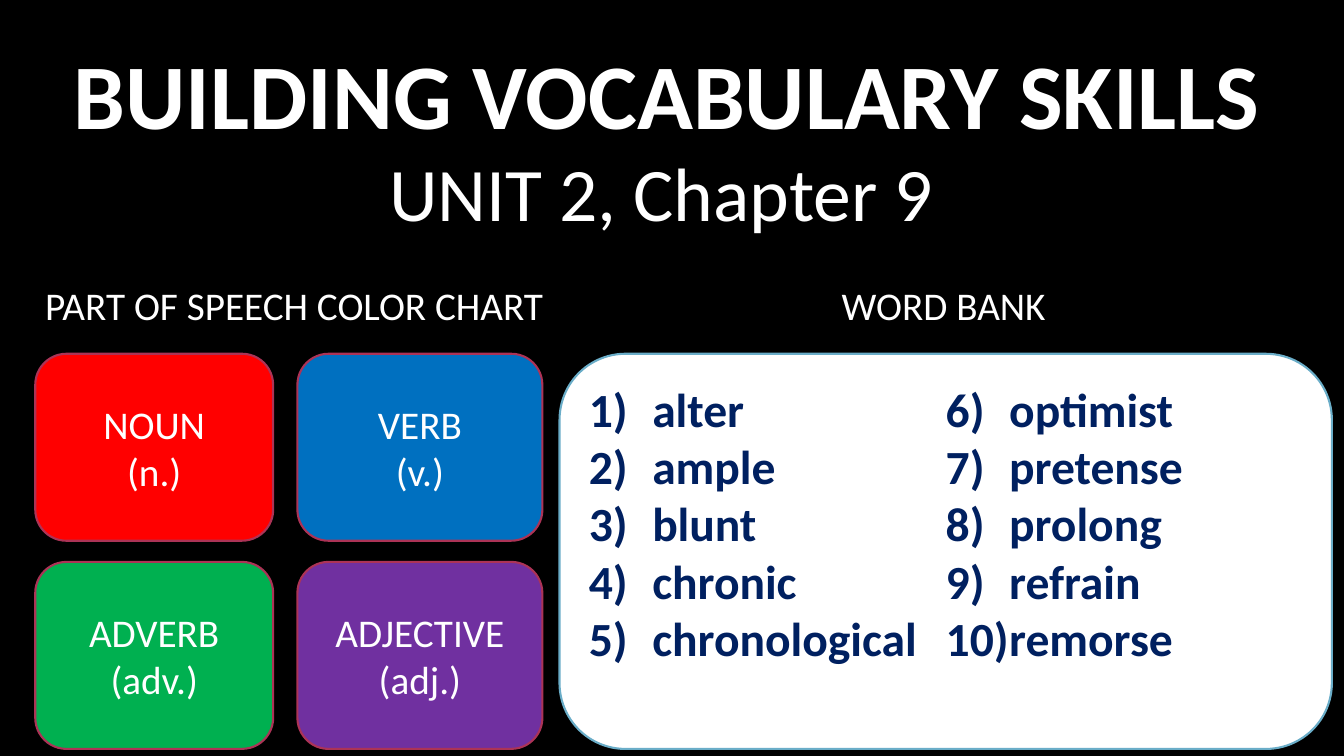
from pptx import Presentation
from pptx.dml.color import RGBColor
from pptx.enum.shapes import MSO_SHAPE
from pptx.enum.text import MSO_ANCHOR, PP_ALIGN
from pptx.util import Inches, Pt
from lxml import etree
from pptx.oxml.ns import qn

ROUNDED = MSO_SHAPE.ROUNDED_RECTANGLE
TOP, MIDDLE = MSO_ANCHOR.TOP, MSO_ANCHOR.MIDDLE
LEFT, CENTER = PP_ALIGN.LEFT, PP_ALIGN.CENTER

BLACK = RGBColor(0x00, 0x00, 0x00)
WHITE = RGBColor(0xFF, 0xFF, 0xFF)
RED = RGBColor(0xFF, 0x00, 0x00)
BLUE = RGBColor(0x00, 0x70, 0xC0)
GREEN = RGBColor(0x00, 0xB0, 0x50)
PURPLE = RGBColor(0x70, 0x30, 0xA0)
NAVY = RGBColor(0x00, 0x20, 0x60)
CARD_EDGE = RGBColor(0xAC, 0x33, 0x56)
BANK_EDGE = RGBColor(0x6A, 0xAD, 0xC8)

FONT = "Calibri"
PARTS_OF_SPEECH = [
    [("NOUN", "(n.)", RED), ("VERB", "(v.)", BLUE)],
    [("ADVERB", "(adv.)", GREEN), ("ADJECTIVE", "(adj.)", PURPLE)],
]
WORDS = ["alter", "ample", "blunt", "chronic", "chronological",
         "optimist", "pretense", "prolong", "refrain", "remorse"]


def write_lines(frame, lines, size, color=WHITE, bold=False, align=CENTER,
                numbered=False):
    for index, line in enumerate(lines):
        paragraph = frame.paragraphs[0] if index == 0 else frame.add_paragraph()
        paragraph.alignment = align
        if numbered:
            number_paragraph(paragraph)
        run = paragraph.add_run()
        run.text = line
        run.font.name = FONT
        run.font.size = Pt(size)
        run.font.bold = bold
        run.font.color.rgb = color


def number_paragraph(paragraph):
    properties = paragraph._p.get_or_add_pPr()
    indent = Inches(0.63)
    properties.set("marL", str(indent))
    properties.set("indent", str(-indent))
    font = etree.SubElement(properties, qn("a:buFont"))
    font.set("typeface", "+mj-lt")
    numbering = etree.SubElement(properties, qn("a:buAutoNum"))
    numbering.set("type", "arabicParenR")


def add_heading(slide, left, top, width, height, text, size, bold=False):
    frame = slide.shapes.add_textbox(
        Inches(left), Inches(top), Inches(width), Inches(height)).text_frame
    frame.word_wrap = True
    frame.vertical_anchor = MIDDLE
    frame.margin_top, frame.margin_bottom = Inches(0.08), 0
    write_lines(frame, [text], size, bold=bold)


def add_label(slide, left, top, width, text):
    frame = slide.shapes.add_textbox(
        Inches(left), Inches(top), Inches(width), Inches(0.57)).text_frame
    frame.word_wrap = False
    write_lines(frame, [text], 28, align=LEFT)


def add_panel(slide, left, top, width, height, fill, edge):
    """Add a rounded box and return its text frame."""
    panel = slide.shapes.add_shape(
        ROUNDED, Inches(left), Inches(top), Inches(width), Inches(height))
    panel.shadow.inherit = False
    panel.fill.solid()
    panel.fill.fore_color.rgb = fill
    panel.line.color.rgb = edge
    panel.line.width = Pt(1.5)
    panel.text_frame.word_wrap = True
    return panel.text_frame


def add_color_chart(slide, left, top, height):
    card_widths, column_gap, row_gap = (2.36, 2.43), 0.24, 0.21
    card_height = (height - row_gap) / 2
    for row, cards in enumerate(PARTS_OF_SPEECH):
        card_left = left
        card_top = top + row * (card_height + row_gap)
        for width, (name, abbreviation, color) in zip(card_widths, cards):
            frame = add_panel(slide, card_left, card_top, width, card_height,
                              color, CARD_EDGE)
            frame.vertical_anchor = MIDDLE
            write_lines(frame, [name, abbreviation], 28)
            card_left += width + column_gap


def add_word_bank(slide, left, top, width, height):
    """Add the two-column list; the bottom margin leaves five words a column."""
    frame = add_panel(slide, left, top, width, height, WHITE, BANK_EDGE)
    frame.vertical_anchor = TOP
    frame.margin_top, frame.margin_bottom = Inches(0.07), Inches(0.4)
    frame._txBody.bodyPr.set("numCol", "2")
    write_lines(frame, WORDS, 34, NAVY, bold=True, align=LEFT, numbered=True)


def build_vocabulary_slide(presentation):
    slide = presentation.slides.add_slide(presentation.slide_layouts[6])
    slide.background.fill.solid()
    slide.background.fill.fore_color.rgb = BLACK
    add_heading(slide, 0.35, 0.51, 12.54, 0.73,
                "BUILDING VOCABULARY SKILLS", 66, bold=True)
    add_heading(slide, 3.49, 1.44, 6.14, 0.83, "UNIT 2, Chapter 9", 54)
    add_label(slide, 0.35, 2.74, 5.2, "PART OF SPEECH COLOR CHART")
    add_label(slide, 8.25, 2.74, 2.25, "WORD BANK")
    add_color_chart(slide, 0.35, 3.51, 3.92)
    add_word_bank(slide, 5.55, 3.51, 7.66, 3.92)


def main():
    presentation = Presentation()
    presentation.slide_width = Inches(13.33)
    presentation.slide_height = Inches(7.5)
    build_vocabulary_slide(presentation)
    presentation.save("out.pptx")


if __name__ == "__main__":
    main()
